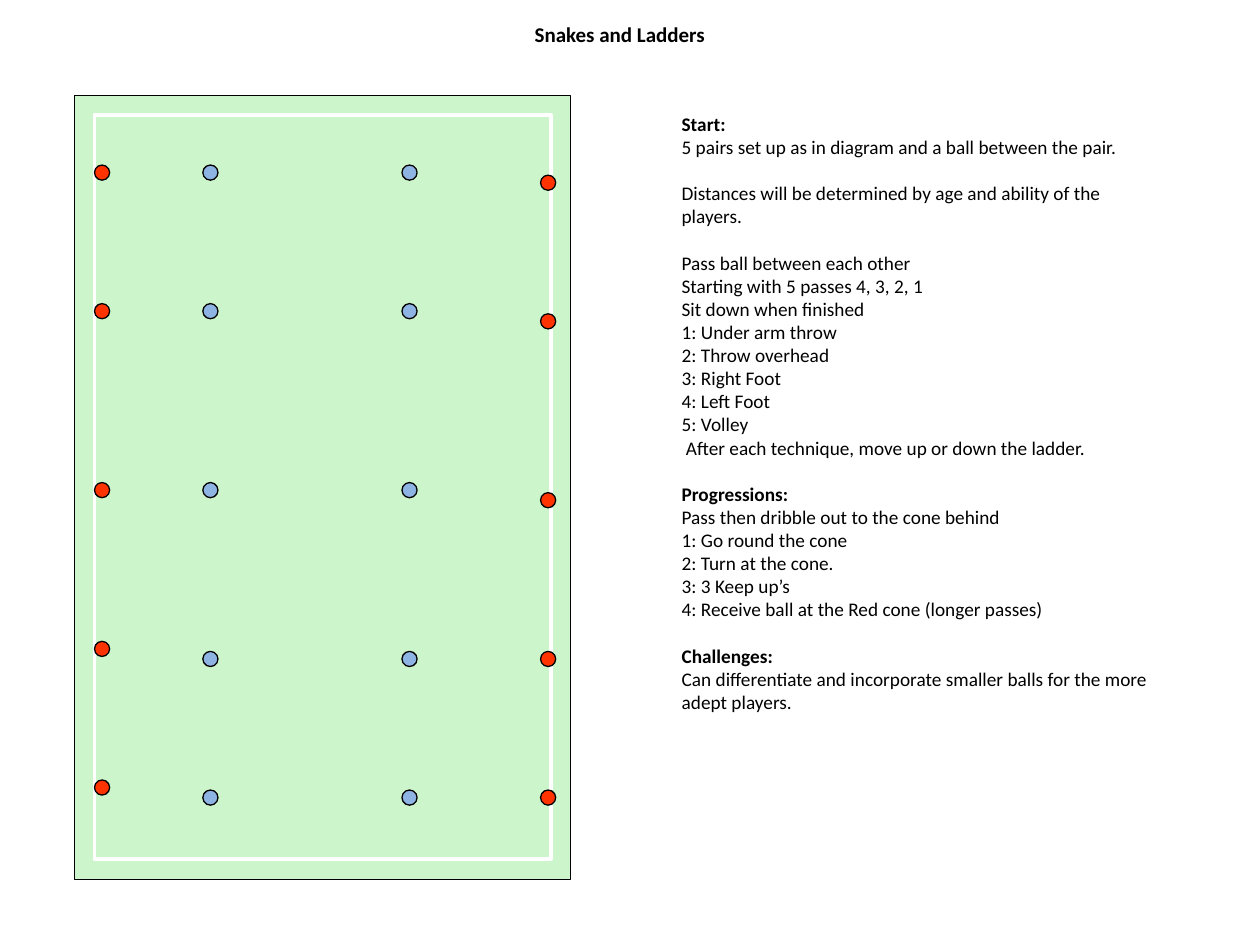
"""Build the Snakes and Ladders drill slide."""
import pptx
import pptx.dml.color
import pptx.enum.shapes
import pptx.enum.text
import pptx.oxml.ns
import pptx.util
from lxml import etree

Inches, Pt = pptx.util.Inches, pptx.util.Pt
Kind = pptx.enum.shapes.MSO_SHAPE
Text = pptx.enum.text

TITLE = "Snakes and Ladders"
NOTES = [
    ("Start:", [
        ["5 pairs set up as in diagram and a ball between the pair."],
        ["Distances will be determined by age and ability of the players."],
        ["Pass ball between each other", "Starting with 5 passes 4, 3, 2, 1",
         "Sit down when finished", "1: Under arm throw", "2: Throw overhead",
         "3: Right Foot", "4: Left Foot", "5: Volley",
         " After each technique, move up or down the ladder."]]),
    ("Progressions:", [
        ["Pass then dribble out to the cone behind", "1: Go round the cone",
         "2: Turn at the cone.", "3: 3 Keep up’s",
         "4: Receive ball at the Red cone (longer passes)"]]),
    ("Challenges:", [
        ["Can differentiate and incorporate smaller balls for the more adept players."]]),
]
FIELD = (0.59, 0.76, 3.94, 6.22)
LINES = (0.75, 0.91, 3.62, 5.91)
CONES = {"left": 0.75, "right": 4.29}
PAIRS = (1.61, 3.19)
ROWS = [(1.31, 1.31, 1.39), (2.41, 2.41, 2.49), (3.83, 3.83, 3.91),
        (5.09, 5.17, 5.17), (6.19, 6.27, 6.27)]
DOT = 0.12
RED, BLUE, BLACK = "FF3300", "8EB4E3", "000000"
GAP = 13.2


def tint(code):
    return pptx.dml.color.RGBColor.from_string(code)


def draw(group, kind, box, fill, edge=BLACK, width=0.75):
    shape = group.shapes.add_shape(kind, *map(Inches, box))
    shape.shadow.inherit = False
    if fill:
        shape.fill.solid()
        shape.fill.fore_color.rgb = tint(fill)
    else:
        shape.fill.background()
    shape.line.color.rgb = tint(edge)
    shape.line.width = Pt(width)


def place(holder, box, inset):
    for name, size in zip(("left", "top", "width", "height"), box):
        setattr(holder, name, Inches(size))
    frame = holder.text_frame
    look = {"word_wrap": True, "auto_size": Text.MSO_AUTO_SIZE.NONE,
            "vertical_anchor": Text.MSO_ANCHOR.TOP}
    sides = ("left", "top", "right", "bottom")
    look.update({f"margin_{s}": Inches(m) for s, m in zip(sides, inset)})
    for name, value in look.items():
        setattr(frame, name, value)
    return frame


def write(para, text, size, bold, align, gap=0):
    props = para._p.get_or_add_pPr()
    props.set("marL", "0")
    props.set("indent", "0")
    etree.SubElement(props, pptx.oxml.ns.qn("a:buNone"))
    para.alignment = align
    para.space_before = Pt(gap)
    run = para.add_run()
    run.text = text
    look = {"name": "Calibri", "size": Pt(size), "bold": bold}
    for name, value in look.items():
        setattr(run.font, name, value)
    run.font.color.rgb = tint(BLACK)


def field(slide):
    group = slide.shapes.add_group_shape()
    draw(group, Kind.RECTANGLE, FIELD, "CCF5CC")
    draw(group, Kind.RECTANGLE, LINES, None, "FFFFFF", 2.25)
    for left, mid, right in ROWS:
        dots = [(CONES["left"], left, RED), (CONES["right"], right, RED)]
        dots += [(x, mid, BLUE) for x in PAIRS]
        for x, y, fill in dots:
            draw(group, Kind.OVAL, (x, y, DOT, DOT), fill)


def notes(frame):
    para = frame.paragraphs[0]
    first = True
    for head, blocks in NOTES:
        for i, block in enumerate(blocks):
            lines = [(t, False) for t in block]
            if i == 0:
                lines.insert(0, (head, True))
            for j, (text, bold) in enumerate(lines):
                para = para if first else frame.add_paragraph()
                gap = GAP if j == 0 and not first else 0
                write(para, text, 11, bold, Text.PP_ALIGN.LEFT, gap)
                first = False


def main():
    deck = pptx.Presentation()
    deck.slide_width, deck.slide_height = Inches(10), Inches(7.5)
    slide = deck.slides.add_slide(deck.slide_layouts[1])
    head = place(slide.shapes.title, (3.03, 0.13, 3.78, 0.39), (0.04,) * 4)
    write(head.paragraphs[0], TITLE, 12, True, Text.PP_ALIGN.CENTER)
    field(slide)
    body = place(slide.placeholders[1], (5.31, 0.84, 3.91, 6.38),
                 (0.1, 0.05, 0.1, 0.05))
    notes(body)
    deck.save("out.pptx")


if __name__ == "__main__":
    main()
